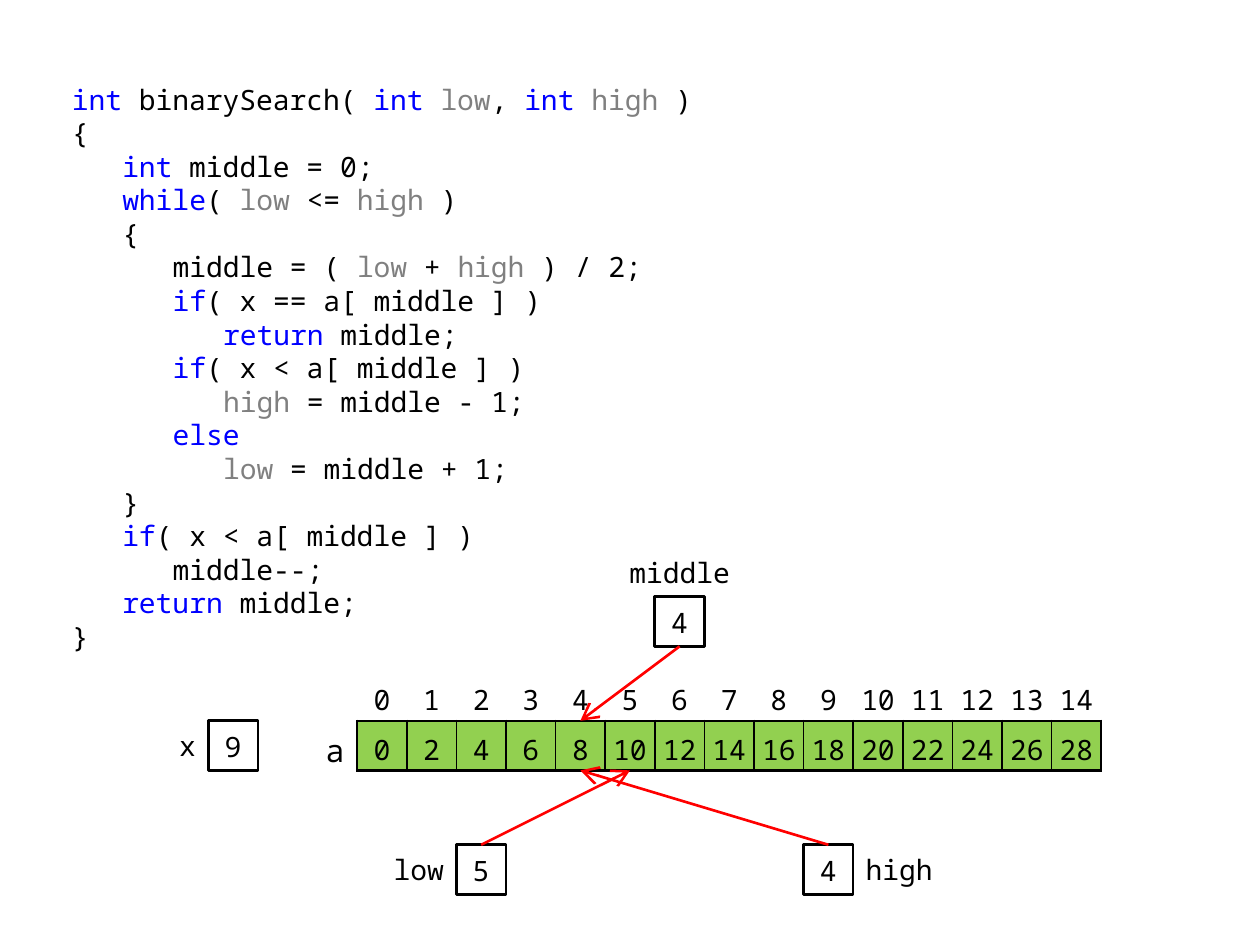
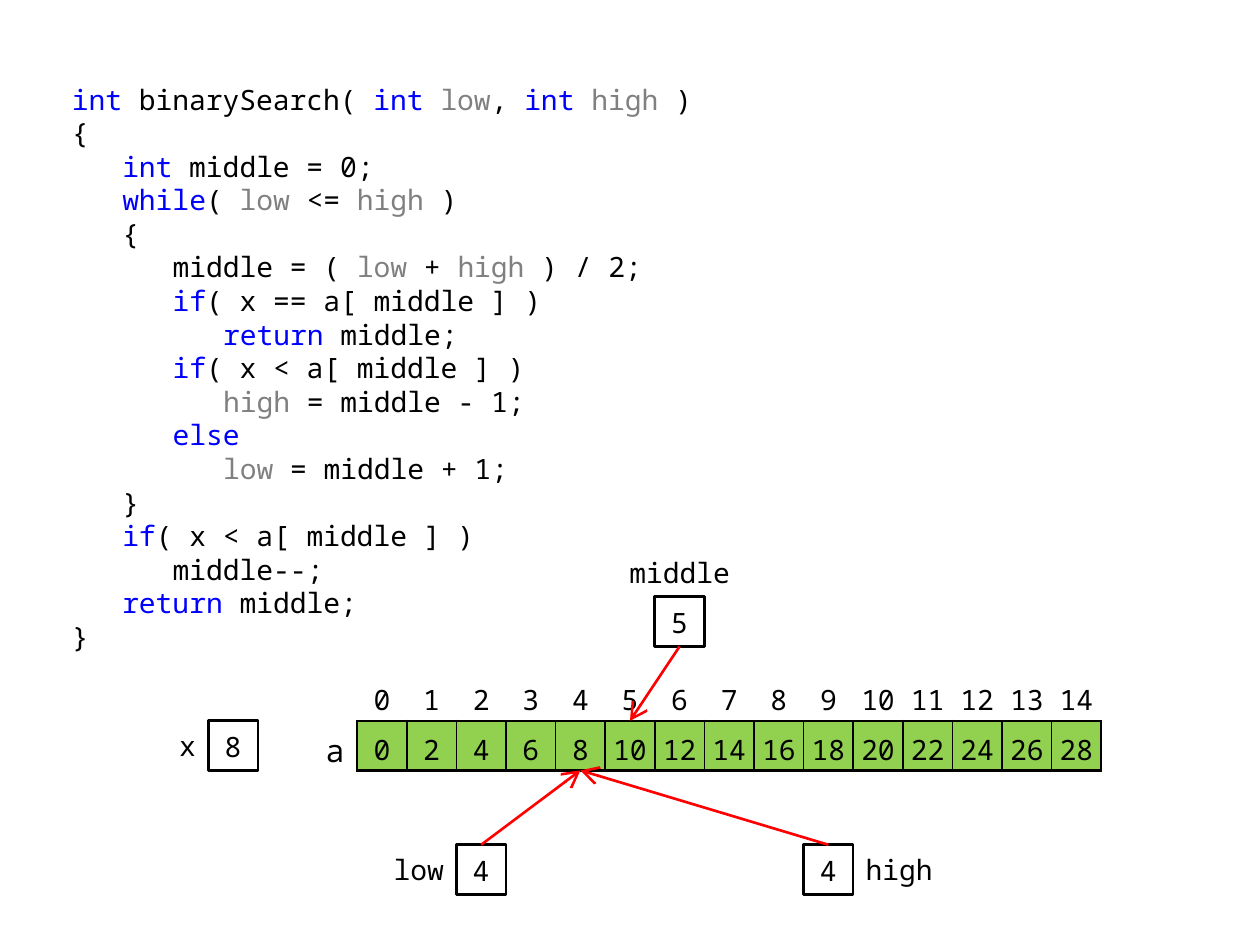
from itertools import groupby

from lxml.etree import SubElement as Sub
from pptx import Presentation
from pptx.dml.color import RGBColor as RGB
from pptx.enum.shapes import MSO_CONNECTOR as Link, MSO_SHAPE as Form
from pptx.enum.text import MSO_ANCHOR as Anchor, PP_ALIGN as Align
from pptx.oxml.ns import qn
from pptx.util import Cm, Inches, Pt

BLACK = RGB(0, 0, 0)
WHITE = RGB(255, 255, 255)
BLUE = RGB(0, 0, 255)
GRAY = RGB(128, 128, 128)
GREEN = RGB(0x92, 0xD0, 0x50)
RED = RGB(255, 0, 0)
FONT = "Noto Sans Mono"
PLAIN = "{2D5ABB26-0587-4C30-8999-92F81FD0307C}"
LEFT, TOP = 1.2, 1.53
COUNT = 15
ROW = 12
THICK, THIN = 1.5, 1
HUES = {word: BLUE for word in ("int", "while", "if", "else", "return")}
HUES.update(low=GRAY, high=GRAY)

CODE = (
    (0, "int binarySearch( int low, int high )"),
    (0, "{"),
    (1, "int middle = 0;"),
    (1, "while( low <= high )"),
    (1, "{"),
    (2, "middle = ( low + high ) / 2;"),
    (2, "if( x == a[ middle ] )"),
    (3, "return middle;"),
    (2, "if( x < a[ middle ] )"),
    (3, "high = middle - 1;"),
    (2, "else"),
    (3, "low = middle + 1;"),
    (1, "}"),
    (1, "if( x < a[ middle ] )"),
    (2, "middle--;"),
    (1, "return middle;"),
    (0, "}"),
)

VARS = {
    "middle": dict(box=(12, 10.5), label=(11, 9.5), width=3,
                   align=Align.CENTER),
    "low": dict(box=(8, 15.5), label=(6, 15.5), width=2, align=Align.RIGHT),
    "high": dict(box=(15, 15.5), label=(16, 15.5), width=2, align=Align.LEFT),
    "x": dict(box=(3, 13), label=(2, 13), width=1, align=Align.RIGHT),
}
STEPS = (
    {"middle": 4, "low": 5, "high": 4, "x": 9},
    {"middle": 5, "low": 4, "high": 4, "x": 8},
)


def put(item, **style):
    """Set every given attribute on the item."""
    for name, value in style.items():
        setattr(item, name, value)


def spot(col, row):
    """Turn a grid column and row into a slide position."""
    return Cm(LEFT + col), Cm(TOP + row)


def write(para, text, size=16, color=BLACK):
    """Add one run of code type to a paragraph."""
    run = para.add_run()
    run.text = text
    put(run.font, name=FONT, size=Pt(size))
    run.font.color.rgb = color


def listing(slide, col, row, width, height):
    """Place the coloured source code in its box."""
    box = slide.shapes.add_textbox(*spot(col, row), Cm(width), Cm(height))
    frame = box.text_frame
    frame.word_wrap = True
    for index, (depth, line) in enumerate(CODE):
        para = frame.add_paragraph() if index else frame.paragraphs[0]
        para.line_spacing = Pt(19.2)
        para._p.get_or_add_pPr().set("marL", str(Pt(28.8 * depth)))
        for _, chars in groupby(line, str.isalpha):
            word = "".join(chars)
            write(para, word, color=HUES.get(word, BLACK))


def border(cell, **sides):
    """Draw the named sides of a cell at the given widths."""
    props = cell._tc.get_or_add_tcPr()
    for side, width in sides.items():
        line = Sub(props, qn(f"a:ln{side}"), w=str(Pt(width)))
        fill = Sub(line, qn("a:solidFill"))
        Sub(fill, qn("a:srgbClr"), val=str(BLACK))


def fill_cell(cell, text, align=Align.CENTER, size=16, color=None, **style):
    """Write a cell and give it a fill."""
    base = dict(margin_left=0, margin_right=0, margin_top=0, margin_bottom=0,
                vertical_anchor=Anchor.MIDDLE)
    put(cell, **{**base, **style})
    para = cell.text_frame.paragraphs[0]
    put(para, alignment=align, line_spacing=1.2)
    if text:
        write(para, text, size)
    if color is None:
        cell.fill.background()
    else:
        cell.fill.solid()
        cell.fill.fore_color.rgb = color


def array(slide, col, row):
    """Place the indexed array as a table of unit cells."""
    frame = slide.shapes.add_table(2, COUNT + 1, *spot(col, row),
                                   Cm(COUNT + 1), Cm(2))
    table = frame.table
    put(table, first_row=False, horz_banding=False)
    table._tbl.tblPr.find(qn("a:tableStyleId")).text = PLAIN
    fill_cell(table.cell(0, 0), "")
    name = table.cell(1, 0)
    border(name, R=THICK)
    fill_cell(name, "a", Align.RIGHT, 18, vertical_anchor=Anchor.TOP,
              margin_left=Inches(0.1), margin_right=Inches(0.1))
    for index in range(COUNT):
        head, item = (table.cell(line, index + 1) for line in (0, 1))
        border(head, B=THICK)
        fill_cell(head, str(index))
        border(item, L=THIN if index else THICK,
               R=THIN if index < COUNT - 1 else THICK, T=THICK, B=THICK)
        fill_cell(item, str(2 * index), color=GREEN)


def field(slide, name, value):
    """Place a variable's label and value box, and return the box."""
    plan = VARS[name]
    label = slide.shapes.add_textbox(*spot(*plan["label"]),
                                     Cm(plan["width"]), Cm(1))
    box = slide.shapes.add_shape(Form.RECTANGLE, *spot(*plan["box"]),
                                 Cm(1), Cm(1))
    box.shadow.inherit = False
    box.fill.solid()
    box.fill.fore_color.rgb = WHITE
    box.line.color.rgb = BLACK
    box.line.width = Pt(THICK)
    put(box.text_frame, margin_left=Inches(0.04), margin_right=Inches(0.04),
        margin_bottom=Inches(0.04))
    for shape, text, side in ((label, name, plan["align"]),
                              (box, str(value), Align.CENTER)):
        frame = shape.text_frame
        put(frame, word_wrap=False, vertical_anchor=Anchor.MIDDLE)
        para = frame.paragraphs[0]
        para.alignment = side
        write(para, text)
    return box


def arrow(slide, box, site, col, row):
    """Point from a side of the box to a grid position."""
    end = spot(col, row)
    line = slide.shapes.add_connector(Link.STRAIGHT, *end, *end)
    line.begin_connect(box, site)
    line.line.color.rgb = RED
    line.line.width = Pt(THICK)
    Sub(line.line._get_or_add_ln(), qn("a:tailEnd"), type="arrow",
        w="lg", len="lg")
    Sub(line._element.spPr, qn("a:effectLst"))


def search(deck, step):
    """Build one slide showing a state of the search."""
    slide = deck.slides.add_slide(deck.slide_layouts[6])
    listing(slide, 0, 0, 13.5, 12)
    array(slide, 5, ROW)
    for name, value in step.items():
        box = field(slide, name, value)
        if name != "x":
            above = name == "middle"
            arrow(slide, box, 2 if above else 0, 6.5 + value,
                  ROW + (1 if above else 2))


def main():
    """Build and save the deck."""
    deck = Presentation()
    put(deck, slide_width=Inches(10), slide_height=Inches(7.5))
    for step in STEPS:
        search(deck, step)
    deck.save("out.pptx")


if __name__ == "__main__":
    main()
